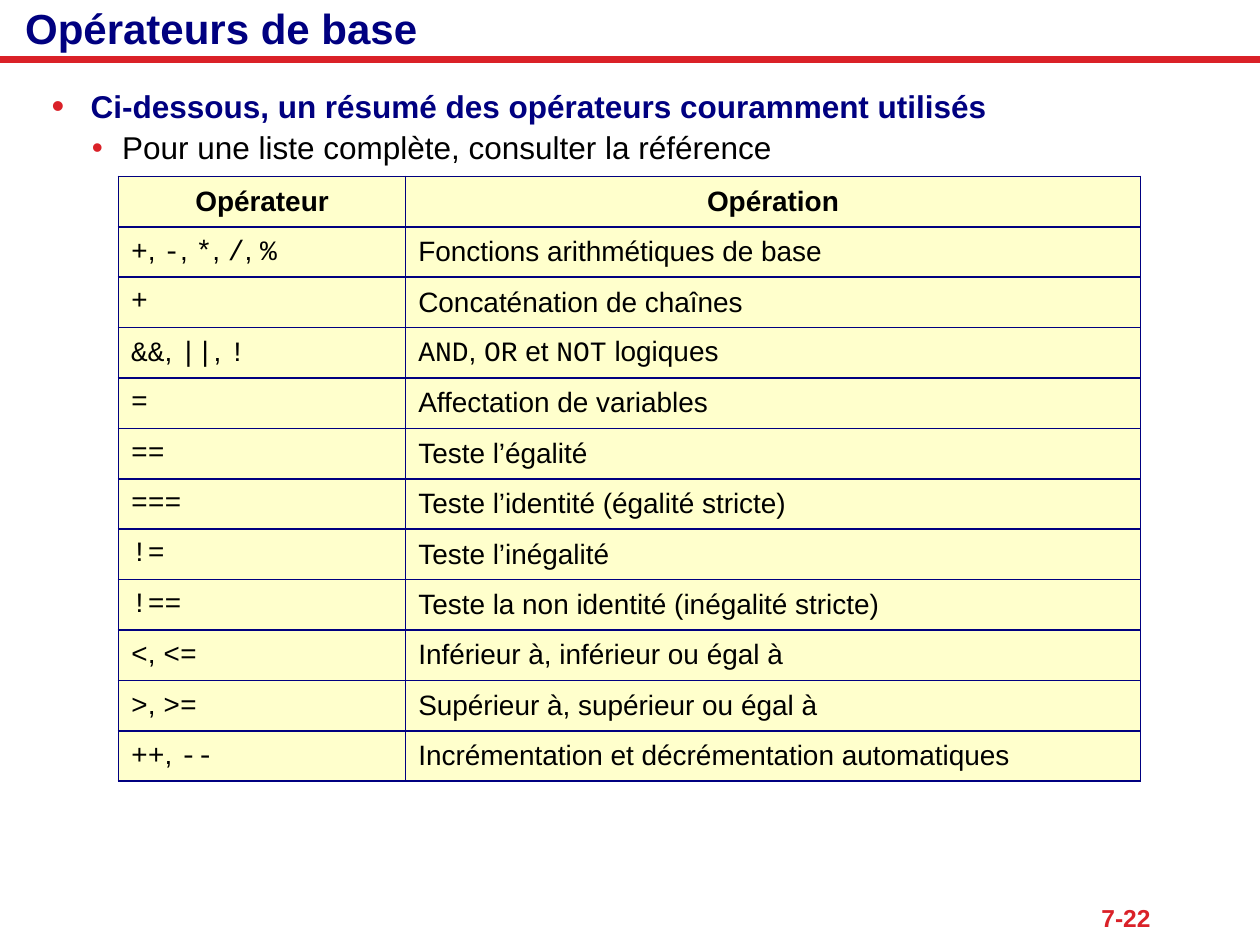
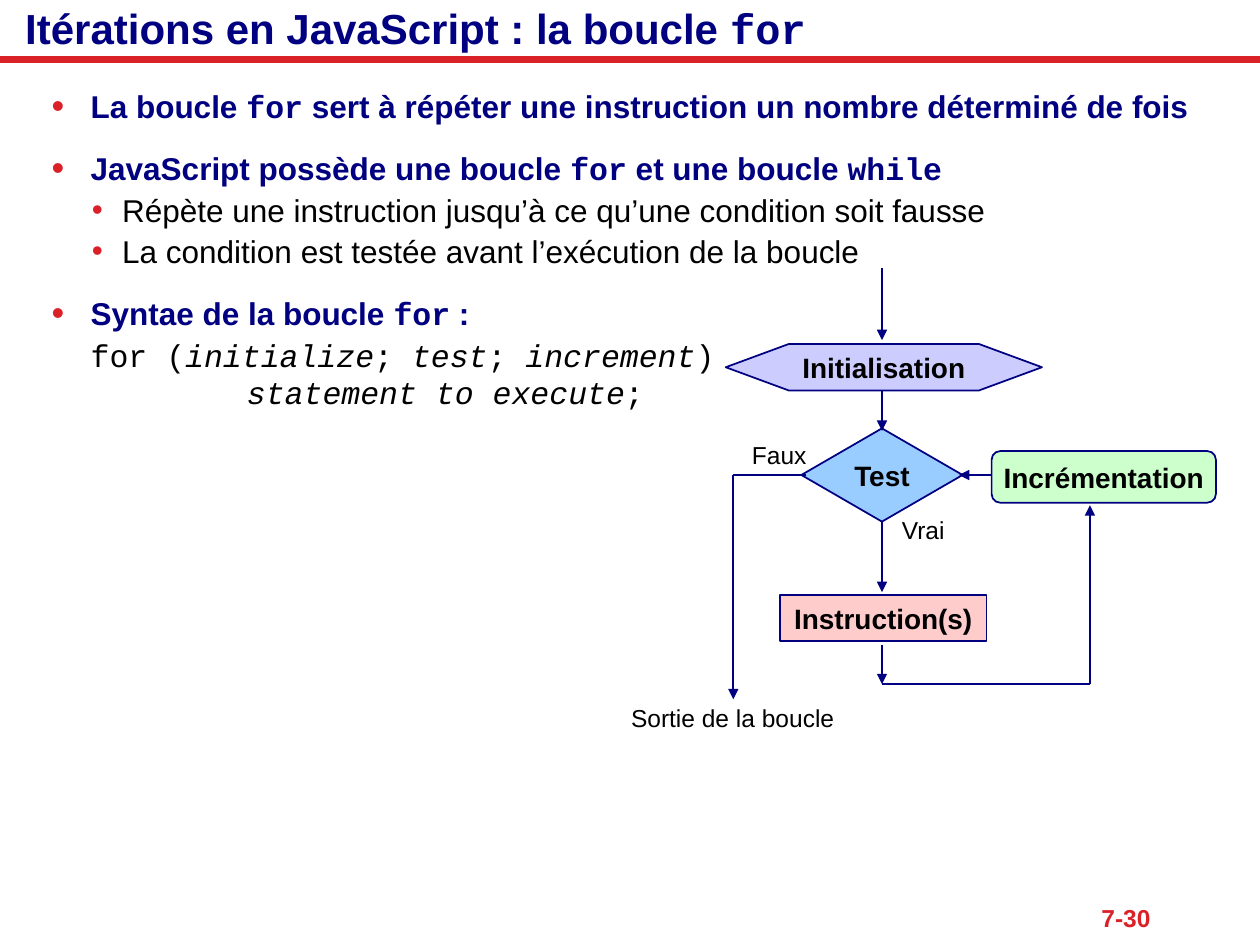
from lxml.etree import SubElement
from pptx import Presentation
from pptx.dml.color import RGBColor
from pptx.enum.shapes import MSO_CONNECTOR, MSO_SHAPE
from pptx.enum.text import MSO_ANCHOR, MSO_AUTO_SIZE, PP_ALIGN
from pptx.oxml.ns import qn
from pptx.util import Inches, Pt

COLORS = {
    "navy": "000080",
    "red": "DA2128",
    "black": "000000",
    "cell": "FFFFCC",
    "preparation": "CCCCFF",
    "decision": "99CCFF",
    "process": "FFCCCC",
    "increment": "CCFFCC",
}
SANS, MONO = "Arial", "Courier New"

OPERATORS = [
    ("Opérateur", "Opération"),
    ("`+`, `-`, `*`, `/`, `%`", "Fonctions arithmétiques de base"),
    ("`+`", "Concaténation de chaînes"),
    ("`&&`, `||`, `!`", "`AND`, `OR` et `NOT` logiques"),
    ("`=`", "Affectation de variables"),
    ("`==`", "Teste l’égalité"),
    ("`===`", "Teste l’identité (égalité stricte)"),
    ("`!=`", "Teste l’inégalité"),
    ("`!==`", "Teste la non identité (inégalité stricte)"),
    ("`<`, `<=`", "Inférieur à, inférieur ou égal à"),
    ("`>`, `>=`", "Supérieur à, supérieur ou égal à"),
    ("`++`, `--`", "Incrémentation et décrémentation automatiques"),
]

# Body lines: (style, text)
OPERATOR_LINES = [
    ("point", "Ci-dessous, un résumé des opérateurs couramment utilisés"),
    ("detail", "Pour une liste complète, consulter la référence"),
]
LOOP_LINES = [
    ("point", "La boucle `for` sert à répéter une instruction un nombre déterminé de fois"),
    ("point", "JavaScript possède une boucle `for` et une boucle `while`"),
    ("detail", "Répète une instruction jusqu’à ce qu’une condition soit fausse"),
    ("detail", "La condition est testée avant l’exécution de la boucle"),
    ("point", "Syntae de la boucle `for` :"),
    ("code", "`for (~initialize~; ~test~; ~increment~)`"),
    ("nested code", "`~statement to execute~;`"),
]

# Style: level, margin, hanging indent, space before, line spacing, bullet size
LINE_STYLES = {
    "point": (0, 0.31, -0.31, 14, 1.0, 115),
    "detail": (1, 0.56, -0.24, 2, 1.0, 100),
    "code": (0, 0.31, 0, 0, 1.1, None),
    "nested code": (1, 1.55, 0, 2, 0.9, None),
}


def rgb(name):
    return RGBColor.from_string(COLORS[name])


def write(paragraph, text, size, color="black", bold=False):
    """Backticks enclose monospaced text, tildes enclose italics."""
    font = paragraph.font
    font.name, font.size, font.bold = SANS, Pt(size), bold
    font.color.rgb = rgb(color)
    italic = False
    for index, section in enumerate(text.split("`")):
        for position, piece in enumerate(section.split("~")):
            if position:
                italic = not italic
            if piece:
                run = paragraph.add_run()
                run.text = piece
                if index % 2:
                    run.font.name = MONO
                if italic:
                    run.font.italic = True


def set_bullet(paragraph, size):
    properties = paragraph._p.get_or_add_pPr()
    if size is None:
        SubElement(properties, qn("a:buNone"))
        return
    color = SubElement(properties, qn("a:buClr"))
    SubElement(color, qn("a:srgbClr"), val=COLORS["red"])
    SubElement(properties, qn("a:buSzPct"), val=str(size * 1000))
    SubElement(properties, qn("a:buFont"), typeface=SANS)
    SubElement(properties, qn("a:buChar"), char="•")


def place(shape, left, top, width, height):
    shape.left, shape.top = Inches(left), Inches(top)
    shape.width, shape.height = Inches(width), Inches(height)


def add_line(slide, start, end, color="navy", width=1.25, arrow=False):
    points = [Inches(value) for value in (*start, *end)]
    connector = slide.shapes.add_connector(MSO_CONNECTOR.STRAIGHT, *points)
    connector.line.color.rgb = rgb(color)
    connector.line.width = Pt(width)
    if arrow:
        SubElement(connector.line._get_or_add_ln(), qn("a:tailEnd"), type="triangle")
    SubElement(connector._element.spPr, qn("a:effectLst"))


def add_label(slide, text, left, top, width, height):
    box = slide.shapes.add_textbox(*map(Inches, (left, top, width, height)))
    box.text_frame.word_wrap = False
    write(box.text_frame.paragraphs[0], text, 14)


def add_page(presentation, title, page_number):
    """Slide with the shared title, red rule and page number."""
    slide = presentation.slides.add_slide(presentation.slide_layouts[1])
    place(slide.shapes.title, 0, 0, 10, 0.44)
    frame = slide.shapes.title.text_frame
    frame.auto_size = MSO_AUTO_SIZE.NONE
    frame.vertical_anchor = MSO_ANCHOR.MIDDLE
    frame.margin_left, frame.margin_right = Inches(0.2), Inches(0.1)
    frame.margin_top = frame.margin_bottom = 0
    frame.paragraphs[0].alignment = PP_ALIGN.LEFT
    write(frame.paragraphs[0], title, 24, "navy", True)

    add_line(slide, (0, 0.47), (10, 0.47), "red", 4)

    number = slide.shapes.add_textbox(*map(Inches, (7.85, 7.11, 1.38, 0.34)))
    number.text_frame.word_wrap = True
    number.text_frame.vertical_anchor = MSO_ANCHOR.MIDDLE
    paragraph = number.text_frame.paragraphs[0]
    paragraph.alignment = PP_ALIGN.RIGHT
    write(paragraph, page_number, 14, "red", True)
    return slide


def fill_body(slide, lines, height):
    body = slide.placeholders[1]
    place(body, 0.31, 0.64, 9.4, height)
    frame = body.text_frame
    frame.auto_size = MSO_AUTO_SIZE.NONE
    for index, (style, text) in enumerate(lines):
        paragraph = frame.add_paragraph() if index else frame.paragraphs[0]
        level, margin, indent, before, spacing, bullet_size = LINE_STYLES[style]
        set_bullet(paragraph, bullet_size)
        paragraph.level = level
        paragraph.space_before = Pt(before if index else 0)
        paragraph.line_spacing = spacing
        properties = paragraph._p.get_or_add_pPr()
        properties.set("marL", str(Inches(margin)))
        properties.set("indent", str(Inches(indent)))
        is_point = style == "point"
        write(paragraph, text, 18, "navy" if is_point else "black", is_point)


def set_borders(cell):
    properties = cell._tc.get_or_add_tcPr()
    for index, side in enumerate(("lnL", "lnR", "lnT", "lnB")):
        line = properties.makeelement(qn(f"a:{side}"), {"w": str(Pt(1))})
        fill = SubElement(line, qn("a:solidFill"))
        SubElement(fill, qn("a:srgbClr"), val=COLORS["navy"])
        properties.insert(index, line)


def add_operator_table(slide, left, top, column_widths, row_height):
    width, height = sum(column_widths), row_height * len(OPERATORS)
    table = slide.shapes.add_table(
        len(OPERATORS), len(column_widths), *map(Inches, (left, top, width, height))
    ).table
    for column, column_width in zip(table.columns, column_widths):
        column.width = Inches(column_width)
    for row_index, texts in enumerate(OPERATORS):
        table.rows[row_index].height = Inches(row_height)
        for column_index, text in enumerate(texts):
            cell = table.cell(row_index, column_index)
            cell.fill.solid()
            cell.fill.fore_color.rgb = rgb("cell")
            cell.vertical_anchor = MSO_ANCHOR.MIDDLE
            set_borders(cell)
            paragraph = cell.text_frame.paragraphs[0]
            is_header = row_index == 0
            paragraph.alignment = PP_ALIGN.CENTER if is_header else PP_ALIGN.LEFT
            write(paragraph, text, 16, bold=is_header)


def add_flowchart(slide, left, top):
    """Flowchart of the for loop; every offset is relative to its corner."""

    def add_step(kind, text, color, x, y, width, height):
        shape = slide.shapes.add_shape(
            kind, *map(Inches, (left + x, top + y, width, height))
        )
        shape.shadow.inherit = False
        shape.fill.solid()
        shape.fill.fore_color.rgb = rgb(color)
        shape.line.color.rgb = rgb("navy")
        shape.line.width = Pt(1)
        frame = shape.text_frame
        frame.word_wrap = False
        frame.vertical_anchor = MSO_ANCHOR.MIDDLE
        frame.margin_left = frame.margin_right = Inches(0.04)
        frame.paragraphs[0].alignment = PP_ALIGN.CENTER
        write(frame.paragraphs[0], text, 16, bold=True)

    add_step(MSO_SHAPE.FLOWCHART_DECISION, "Test", "decision", 1.45, 1.27, 1.28, 0.74)
    add_step(MSO_SHAPE.FLOWCHART_PROCESS, "Instruction(s)", "process", 1.28, 2.59, 1.64, 0.37)

    # Flow lines: start, end, arrowhead
    axis, exit_x, return_x = 2.09, 0.91, 3.74
    test_y, return_y = 1.64, 3.3
    for start, end, arrow in (
        ((axis, 0), (axis, 0.57), True),
        ((axis, 0.72), (axis, 1.29), True),
        ((axis, 2.01), (axis, 2.57), True),
        ((axis, 2.99), (axis, return_y), True),
        ((axis, return_y), (return_x, return_y), False),
        ((return_x, return_y), (return_x, 1.88), True),
        ((3.47, test_y), (2.7, test_y), True),
        ((1.49, test_y), (exit_x, test_y), False),
        ((exit_x, test_y), (exit_x, 3.42), True),
    ):
        add_line(
            slide,
            (left + start[0], top + start[1]),
            (left + end[0], top + end[1]),
            arrow=arrow,
        )

    # Steps that cover the line ends
    add_step(MSO_SHAPE.FLOWCHART_PREPARATION, "Initialisation", "preparation",
             0.85, 0.6, 2.51, 0.37)
    add_step(MSO_SHAPE.FLOWCHART_ALTERNATE_PROCESS, "Incrémentation", "increment",
             2.96, 1.45, 1.78, 0.41)

    # Branch labels
    add_label(slide, "Faux", left + 0.96, top + 1.31, 0.64, 0.34)
    add_label(slide, "Vrai", left + 2.15, top + 1.91, 0.54, 0.34)
    add_label(slide, "Sortie de la boucle", left, top + 3.4, 1.82, 0.34)


def main():
    presentation = Presentation()
    presentation.slide_width, presentation.slide_height = Inches(10), Inches(7.5)

    # Operators
    slide = add_page(presentation, "Opérateurs de base", "7-22")
    fill_body(slide, OPERATOR_LINES, 0.73)
    add_operator_table(slide, 0.94, 1.4, (2.28, 5.83), 0.4)

    # The for loop
    slide = add_page(presentation, "Itérations en JavaScript : la boucle `for`", "7-30")
    fill_body(slide, LOOP_LINES, 2.7)
    add_flowchart(slide, 4.91, 2.13)

    presentation.save("out.pptx")


if __name__ == "__main__":
    main()
